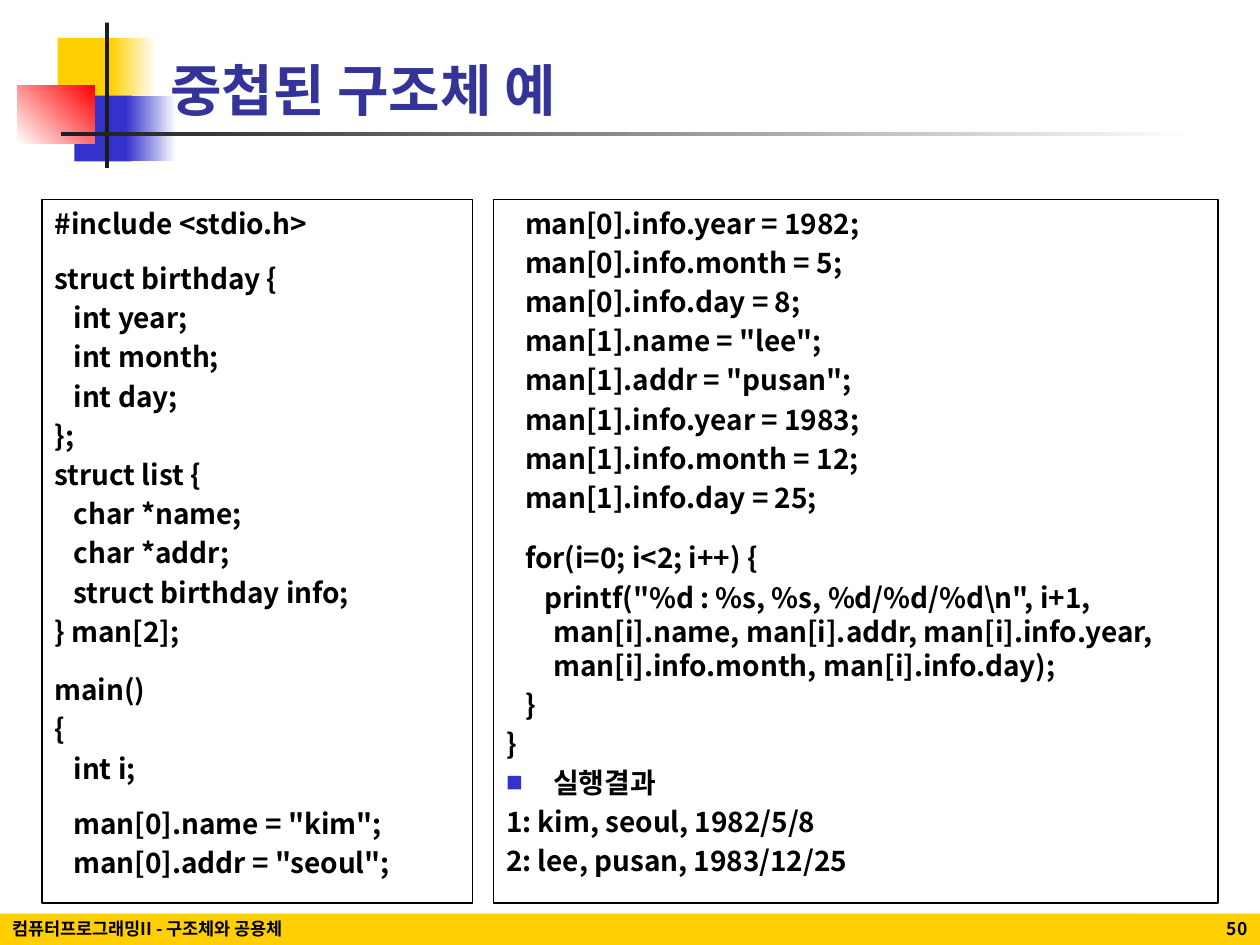
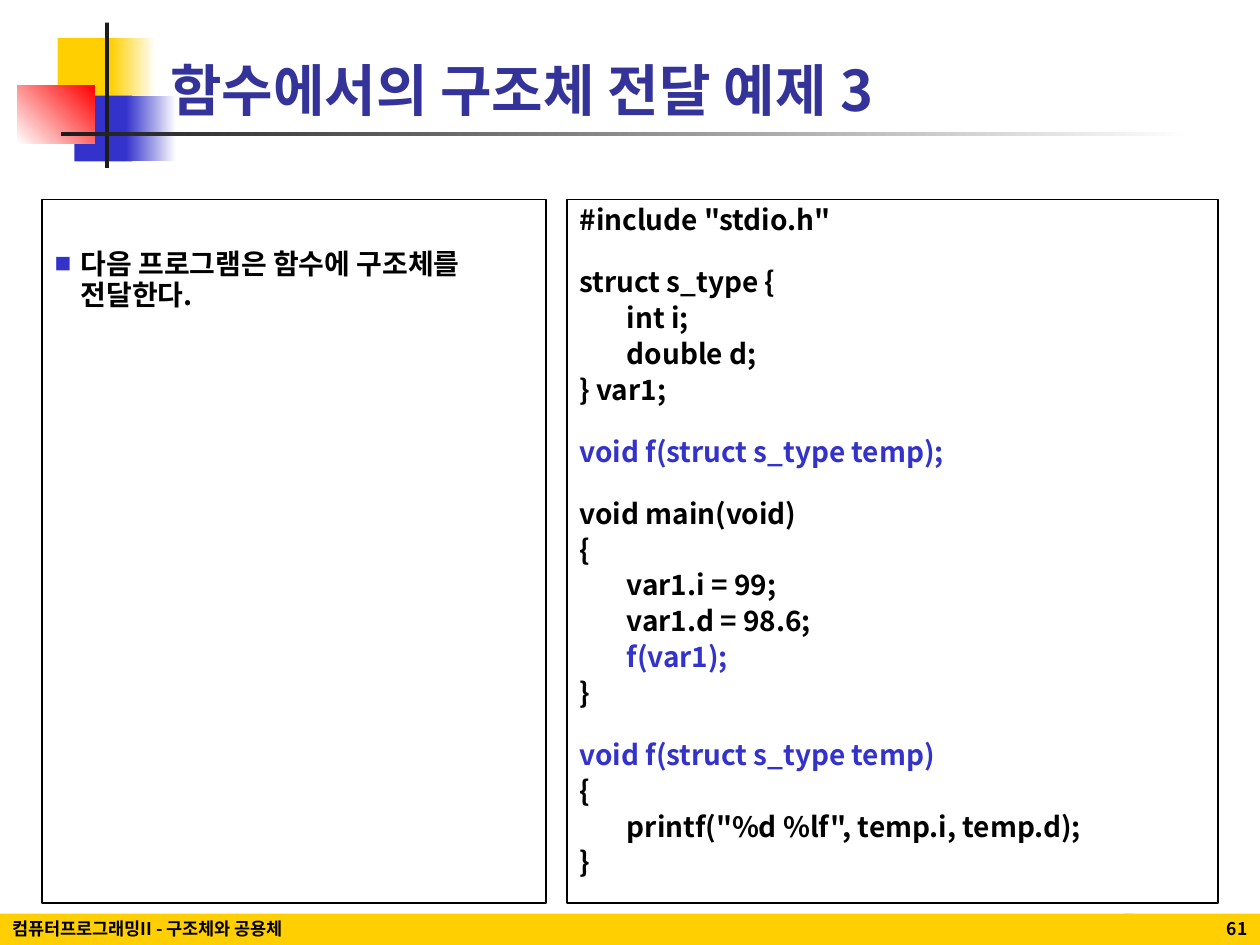
from dataclasses import dataclass
from typing import NamedTuple

from lxml.etree import SubElement
from pptx import Presentation
from pptx.dml.color import RGBColor
from pptx.enum.shapes import MSO_SHAPE
from pptx.enum.text import MSO_ANCHOR, MSO_AUTO_SIZE, PP_ALIGN
from pptx.oxml.ns import qn
from pptx.util import Pt

FONT = "Noto Sans CJK KR"
BLACK, WHITE, CHARCOAL = "000000", "FFFFFF", "1C1C1C"
YELLOW, BLUE, RED, TITLE_BLUE = "FFCF01", "3333CC", "FF0000", "333399"
LINE_GAP = 3
FOOTER = "컴퓨터프로그래밍II - 구조체와 공용체"


class Bar(NamedTuple):
    left: float
    top: float
    width: float
    height: float
    color: str
    fade_to: str = ""
    angle: float = 0


class Block(NamedTuple):
    text: str
    before: float = LINE_GAP
    color: str = BLACK
    bullet: bool = False


@dataclass
class Panel:
    left: float
    width: float
    indent: float
    line_height: float
    blocks: list[Block]
    top_inset: float = 3.6


@dataclass
class Lesson:
    title: str
    number: int
    panels: list[Panel]


DECORATION = [
    Bar(33, 21.6, 34.5, 37.5, YELLOW),
    Bar(63, 21.6, 26, 37.5, YELLOW, WHITE),
    Bar(42.5, 54.7, 33, 37.5, BLUE),
    Bar(72, 54.7, 28.8, 37.5, BLUE, WHITE),
    Bar(10, 48.7, 44, 33.5, WHITE, RED, 45),
    Bar(60, 13, 2.3, 83, CHARCOAL),
    Bar(34.6, 75.5, 648, 2.3, CHARCOAL, WHITE),
]

LESSONS = [
    Lesson("중첩된 구조체 예", 50, [
        Panel(24, 246, 15, 19.4, [
            Block("#include <stdio.h>"),
            Block("""struct birthday {
   int year;
   int month;
   int day;
};
struct list {
   char *name;
   char *addr;
   struct birthday info;
} man[2];""", 12.3),
            Block("""main()
{
   int i;""", 14),
            Block("""   man[0].name = "kim";
   man[0].addr = "seoul";""", 12.3),
        ]),
        Panel(282, 414, 27, 19.4, [
            Block("""   man[0].info.year = 1982;
   man[0].info.month = 5;
   man[0].info.day = 8;
   man[1].name = "lee";
   man[1].addr = "pusan";
   man[1].info.year = 1983;
   man[1].info.month = 12;
   man[1].info.day = 25;"""),
            Block("   for(i=0; i<2; i++) {", 15.2),
            Block('      printf("%d : %s, %s, %d/%d/%d\\n", i+1, '
                  "man[i].name, man[i].addr, man[i].info.year, "
                  "man[i].info.month, man[i].info.day);"),
            Block("   }\n}"),
            Block("실행결과", bullet=True),
            Block("1: kim, seoul, 1982/5/8\n2: lee, pusan, 1983/12/25"),
        ]),
    ]),
    Lesson("함수에서의 구조체 전달 예제 3", 61, [
        Panel(24, 288, 15, 17.5, [
            Block("다음 프로그램은 함수에 구조체를 전달한다.", bullet=True),
        ], top_inset=28.7),
        Panel(324, 372, 27, 17.5, [
            Block('#include "stdio.h"'),
            Block("struct s_type {\n\tint i;\n\tdouble d;\n} var1;", 17.9),
            Block("void f(struct s_type temp);", 17.9, BLUE),
            Block("void main(void)\n{\n\tvar1.i = 99;\n\tvar1.d = 98.6;", 17.9),
            Block("\tf(var1);", color=BLUE),
            Block("}"),
            Block("void f(struct s_type temp)", 17.9, BLUE),
            Block('{\n\tprintf("%d %lf", temp.i, temp.d);\n}'),
        ]),
    ]),
]


def rgb(color: str) -> RGBColor:
    return RGBColor.from_string(color)


def place(box, left: float, top: float, width: float, height: float) -> None:
    box.left, box.top, box.width, box.height = map(Pt, (left, top, width, height))


def style(para, size: float, color: str) -> None:
    font = para.font
    font.size, font.bold = Pt(size), True
    font.color.rgb = rgb(color)
    font.name = FONT
    SubElement(para._p.pPr.find(qn("a:defRPr")), qn("a:ea"), typeface=FONT)


def set_bullet(para, indent: float, shown: bool) -> None:
    properties = para._p.get_or_add_pPr()
    properties.set("marL", str(Pt(indent)))
    properties.set("indent", str(-Pt(indent)))
    if shown:
        bullet_color = SubElement(properties, qn("a:buClr"))
        SubElement(bullet_color, qn("a:srgbClr"), val=BLUE)
        SubElement(properties, qn("a:buSzPct"), val="60000")
        SubElement(properties, qn("a:buFont"), typeface=FONT)
        SubElement(properties, qn("a:buChar"), char="■")
    else:
        SubElement(properties, qn("a:buNone"))


def add_bar(page, bar: Bar):
    box = page.shapes.add_shape(
        MSO_SHAPE.RECTANGLE, Pt(bar.left), Pt(bar.top), Pt(bar.width), Pt(bar.height))
    box.shadow.inherit = False
    box.line.fill.background()
    if bar.fade_to:
        box.fill.gradient()
        box.fill.gradient_angle = bar.angle
        for stop, color in zip(box.fill.gradient_stops, (bar.color, bar.fade_to)):
            stop.color.rgb = rgb(color)
    else:
        box.fill.solid()
        box.fill.fore_color.rgb = rgb(bar.color)
    return box


def decorate_layout(layout, page) -> None:
    for position, bar in enumerate(DECORATION, start=2):
        layout.shapes._spTree.insert(position, add_bar(page, bar)._element)


def add_footer(page, left: float, width: float, text: str, align) -> None:
    box = add_bar(page, Bar(left, 522, width, 18, YELLOW))
    frame = box.text_frame
    frame.vertical_anchor = MSO_ANCHOR.BOTTOM
    para = frame.paragraphs[0]
    para.text, para.alignment = text, align
    style(para, 10, BLACK)


def fill_title(box, text: str) -> None:
    place(box, 90, 12, 606, 62)
    frame = box.text_frame
    frame.auto_size = MSO_AUTO_SIZE.NONE
    frame.vertical_anchor = MSO_ANCHOR.BOTTOM
    para = frame.paragraphs[0]
    para.text, para.alignment = text, PP_ALIGN.LEFT
    style(para, 32, TITLE_BLUE)


def fill_panel(box, panel: Panel) -> None:
    place(box, panel.left, 114, panel.width, 402)
    box.line.color.rgb = rgb(BLACK)
    box.line.width = Pt(0.75)
    frame = box.text_frame
    frame.auto_size = MSO_AUTO_SIZE.NONE
    frame.margin_top = Pt(panel.top_inset)
    lines = [(text, block.before if row == 0 else LINE_GAP, block)
             for block in panel.blocks
             for row, text in enumerate(block.text.split("\n"))]
    for index, (text, before, block) in enumerate(lines):
        para = frame.add_paragraph() if index else frame.paragraphs[0]
        para.add_run().text = text
        set_bullet(para, panel.indent, block.bullet)
        para.line_spacing = Pt(panel.line_height)
        para.space_before = Pt(before if index else 0)
        style(para, 16, block.color)


def main() -> None:
    deck = Presentation()
    deck.slide_width, deck.slide_height = Pt(720), Pt(540)
    layout = deck.slide_layouts.get_by_name("Two Content")
    for index, lesson in enumerate(LESSONS):
        page = deck.slides.add_slide(layout)
        if index == 0:
            decorate_layout(layout, page)
        title, *bodies = page.placeholders
        fill_title(title, lesson.title)
        for body, panel in zip(bodies, lesson.panels):
            fill_panel(body, panel)
        add_footer(page, 0, 648, FOOTER, PP_ALIGN.LEFT)
        add_footer(page, 642, 78, str(lesson.number), PP_ALIGN.RIGHT)
    deck.save("out.pptx")


if __name__ == "__main__":
    main()
